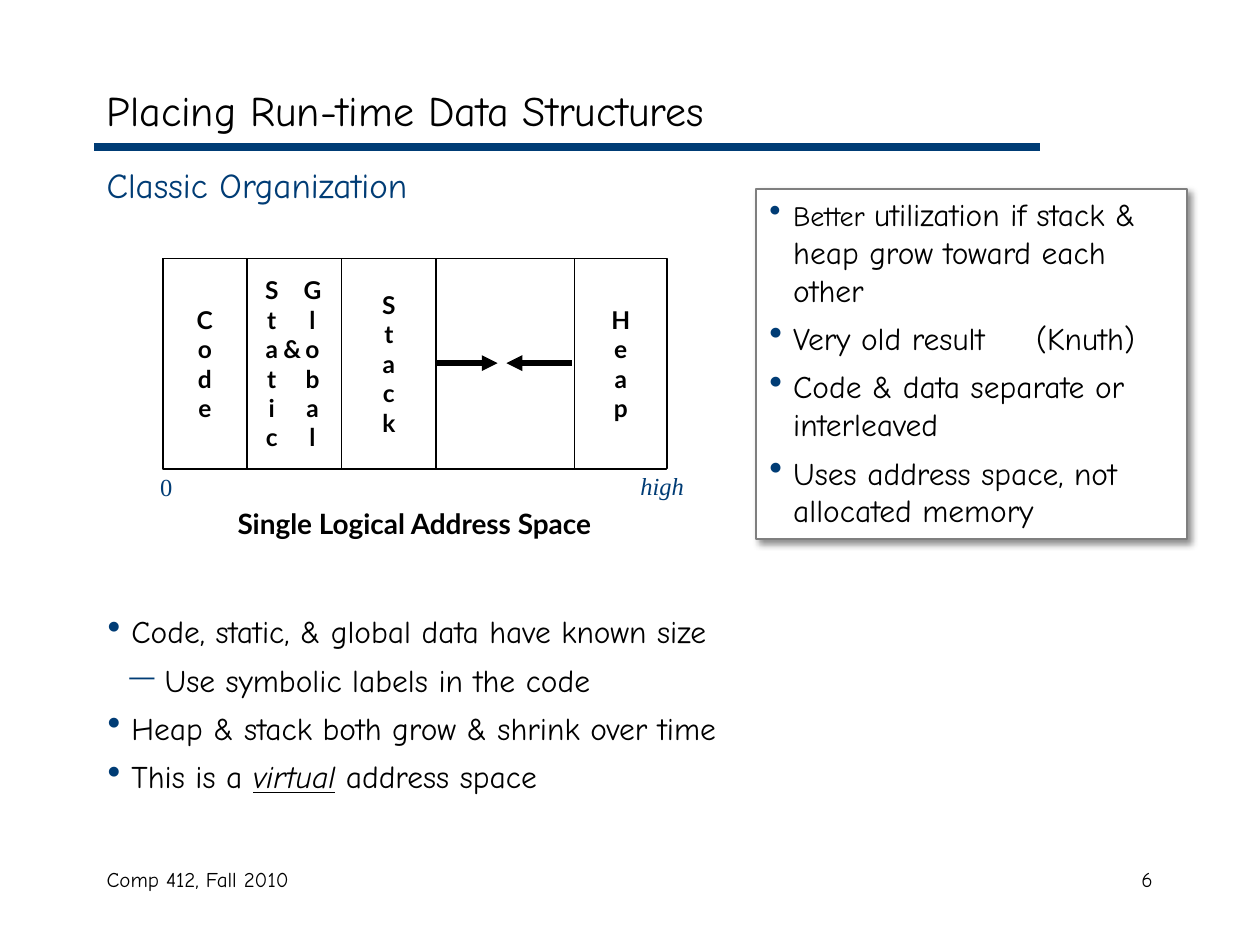
from lxml.etree import SubElement
from pptx import Presentation
from pptx.dml.color import RGBColor
from pptx.enum.shapes import MSO_CONNECTOR, MSO_SHAPE
from pptx.enum.text import MSO_ANCHOR, PP_ALIGN
from pptx.oxml import parse_xml
from pptx.oxml.ns import nsdecls, qn
from pptx.util import Cm, Pt

NAVY = "003C75"
BLACK = "000000"
HAND = "Comic Neue"
SANS = "Lato"
SERIF = "Times New Roman"
LEFT, CENTER, RIGHT = PP_ALIGN.LEFT, PP_ALIGN.CENTER, PP_ALIGN.RIGHT


def color(value):
    return RGBColor.from_string(value)


def write(paragraph, text, size=18, face=HAND, ink=BLACK, bold=False, italic=False, underline=False):
    run = paragraph.add_run()
    run.text = text
    run.font.size = Pt(size)
    run.font.name = face
    run.font.color.rgb = color(ink)
    run.font.bold = bold
    run.font.italic = italic
    run.font.underline = underline


deck = Presentation()
deck.slide_width, deck.slide_height = Cm(25.4), Cm(19.05)
slide = deck.slides.add_slide(deck.slide_layouts[6])
shapes = slide.shapes

labels = [
    ("Comp 412, Fall 2010", 1.9, 17.35, 8.05, 1.27, LEFT, dict(size=12)),
    ("6", 18.21, 17.35, 5.28, 1.27, RIGHT, dict(size=12)),
    ("Placing Run-time Data Structures", 1.9, 1.48, 21.6, 1.48, LEFT, dict(size=24)),
    ("Classic Organization", 1.9, 3.18, 21.6, 1.2, LEFT, dict(size=20, ink=NAVY)),
    ("Single Logical Address Space", 3.96, 10.08, 8.79, 0.94, CENTER, dict(size=16, face=SANS, bold=True)),
    ("0", 2.72, 9.4, 1.27, 0.84, CENTER, dict(size=14, face=SERIF, ink=NAVY)),
    ("high", 12.5, 9.37, 1.7, 0.84, CENTER, dict(size=14, face=SERIF, ink=NAVY, italic=True)),
]
for text, left, top, width, height, align, style in labels:
    label = shapes.add_textbox(Cm(left), Cm(top), Cm(width), Cm(height))
    label.text_frame.word_wrap = True
    if style["size"] == 24:
        label.text_frame.vertical_anchor = MSO_ANCHOR.MIDDLE
    line = label.text_frame.paragraphs[0]
    line.alignment = align
    write(line, text, **style)

notes = shapes.add_textbox(Cm(1.9), Cm(12.22), Cm(14.81), Cm(3.99))
remarks = shapes.add_shape(MSO_SHAPE.RECTANGLE, Cm(15.24), Cm(3.81), Cm(8.69), Cm(7.06))
remarks.fill.solid()
remarks.fill.fore_color.rgb = color("FFFFFF")
remarks.line.color.rgb = color("7F7F7F")
remarks.line.width = Pt(0.75)
remarks.shadow.inherit = False
remarks.text_frame.vertical_anchor = MSO_ANCHOR.TOP
remarks._element.spPr.find(qn("a:effectLst")).append(parse_xml(
    f'<a:outerShdw {nsdecls("a")} blurRad="{Pt(4)}" dist="{Pt(3)}" dir="2700000" algn="tl" rotWithShape="0">'
    '<a:srgbClr val="000000"><a:alpha val="43000"/></a:srgbClr></a:outerShdw>'))

bullet_lists = [
    (notes, [
        ("•", [("Code, static, & global data have known size", {})]),
        ("—", [("Use symbolic labels in the code", {})]),
        ("•", [("Heap & stack both grow & shrink over time", {})]),
        ("•", [("This is a ", {}), ("virtual", dict(italic=True, underline=True)), (" address space", {})]),
    ]),
    (remarks, [
        ("•", [("Better ", dict(size=16)), ("utilization if stack & heap grow toward each other", {})]),
        ("•", [("Very old result\t(Knuth)", {})]),
        ("•", [("Code & data separate or interleaved", {})]),
        ("•", [("Uses address space, not allocated memory", {})]),
    ]),
]
bullet_formats = {"•": (0.5, 0.48, 120, 0), "—": (1.17, 0.71, 80, 1)}
for box, items in bullet_lists:
    box.text_frame.word_wrap = True
    for index, (mark, pieces) in enumerate(items):
        item = box.text_frame.add_paragraph() if index else box.text_frame.paragraphs[0]
        margin, hanging, percent, level = bullet_formats[mark]
        item.alignment = LEFT
        item.level = level
        item.space_before = Pt(6 if index else 0)
        properties = item._p.get_or_add_pPr()
        properties.set("marL", str(Cm(margin)))
        properties.set("indent", str(-Cm(hanging)))
        SubElement(SubElement(properties, qn("a:buClr")), qn("a:srgbClr"), val=NAVY)
        SubElement(properties, qn("a:buSzPct"), val=str(percent * 1000))
        SubElement(properties, qn("a:buChar"), char=mark)
        if "\t" in pieces[0][0]:
            SubElement(SubElement(properties, qn("a:tabLst")), qn("a:tab"), pos=str(Cm(5.4)), algn="l")
        for text, style in pieces:
            write(item, text, **style)

regions = [
    (3.28, 10.16, 1, []),
    (3.28, 1.7, 0.75, "Code"),
    (4.98, 1.91, 0.75, ["\tS\t\tG", "\tt\t\tl", "\ta\t&\to", "\tt\t\tb", "\ti\t\ta", "\tc\t\tl"]),
    (6.89, 1.9, 0.75, "Stack"),
    (11.58, 1.87, 0.75, "Heap"),
]
for left, width, weight, rows in regions:
    region = shapes.add_shape(MSO_SHAPE.RECTANGLE, Cm(left), Cm(5.21), Cm(width), Cm(4.24))
    region.shadow.inherit = False
    region.fill.background()
    region.line.color.rgb = color(BLACK)
    region.line.width = Pt(weight)
    frame = region.text_frame
    frame.word_wrap = True
    frame.vertical_anchor = MSO_ANCHOR.MIDDLE
    frame.margin_left = frame.margin_right = 0
    for index, row in enumerate(rows):
        line = frame.add_paragraph() if index else frame.paragraphs[0]
        line.alignment = LEFT if "\t" in row else CENTER
        if "\t" in row:
            stops = SubElement(line._p.get_or_add_pPr(), qn("a:tabLst"))
            for stop in (0.5, 0.91, 1.32):
                SubElement(stops, qn("a:tab"), pos=str(Cm(stop)), algn="ctr")
        write(line, row, size=14, face=SANS, bold=True)

strokes = [
    (1.9, 20.96, 2.97, NAVY, 4.5, False),
    (8.81, 10.03, 7.32, BLACK, 3, True),
    (11.53, 10.21, 7.32, BLACK, 3, True),
]
for start, end, height, ink, weight, pointed in strokes:
    stroke = shapes.add_connector(MSO_CONNECTOR.STRAIGHT, Cm(start), Cm(height), Cm(end), Cm(height))
    stroke.line.color.rgb = color(ink)
    stroke.line.width = Pt(weight)
    if pointed:
        SubElement(stroke.line._get_or_add_ln(), qn("a:tailEnd"), type="triangle")
    SubElement(stroke._element.spPr, qn("a:effectLst"))

deck.save("out.pptx")
